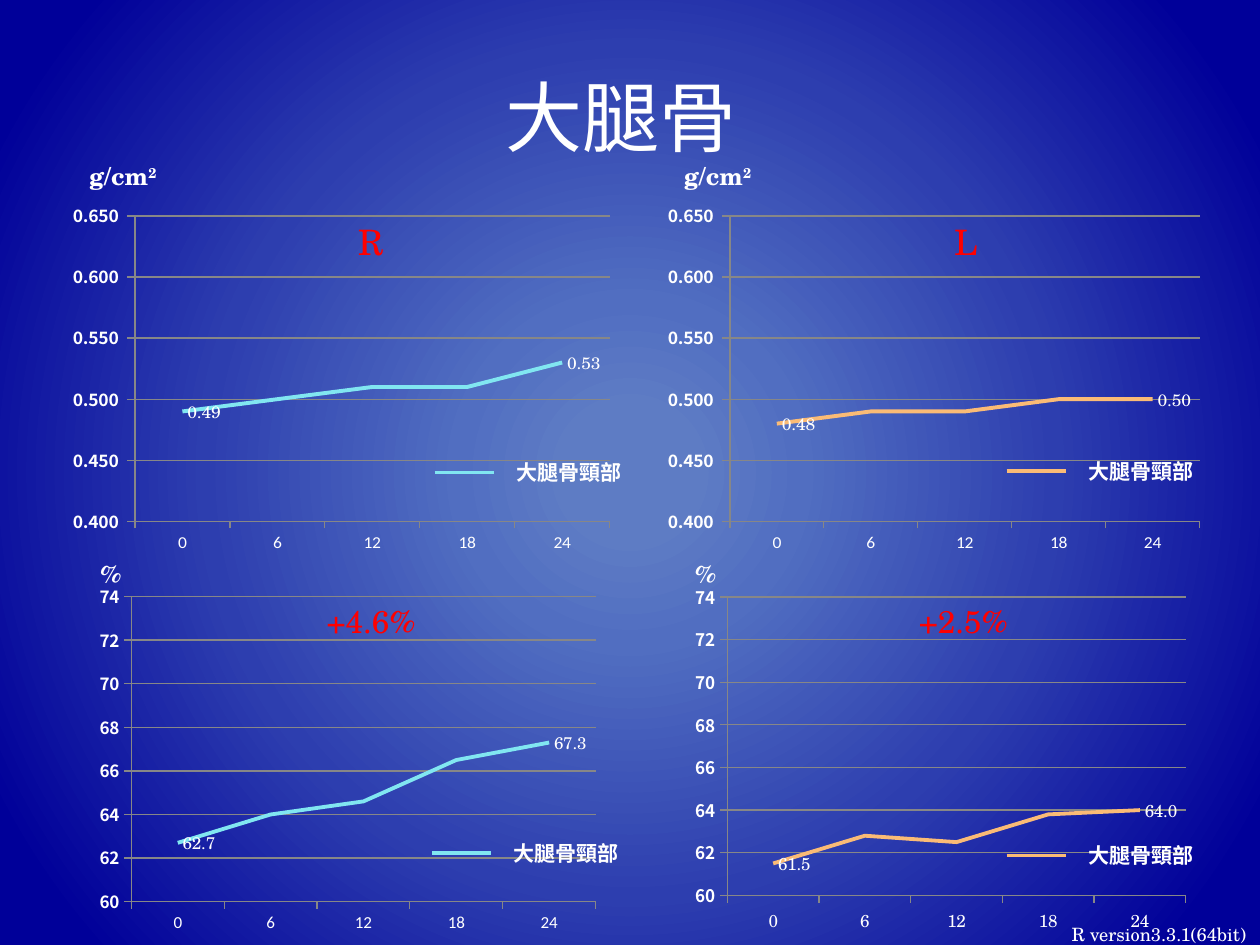
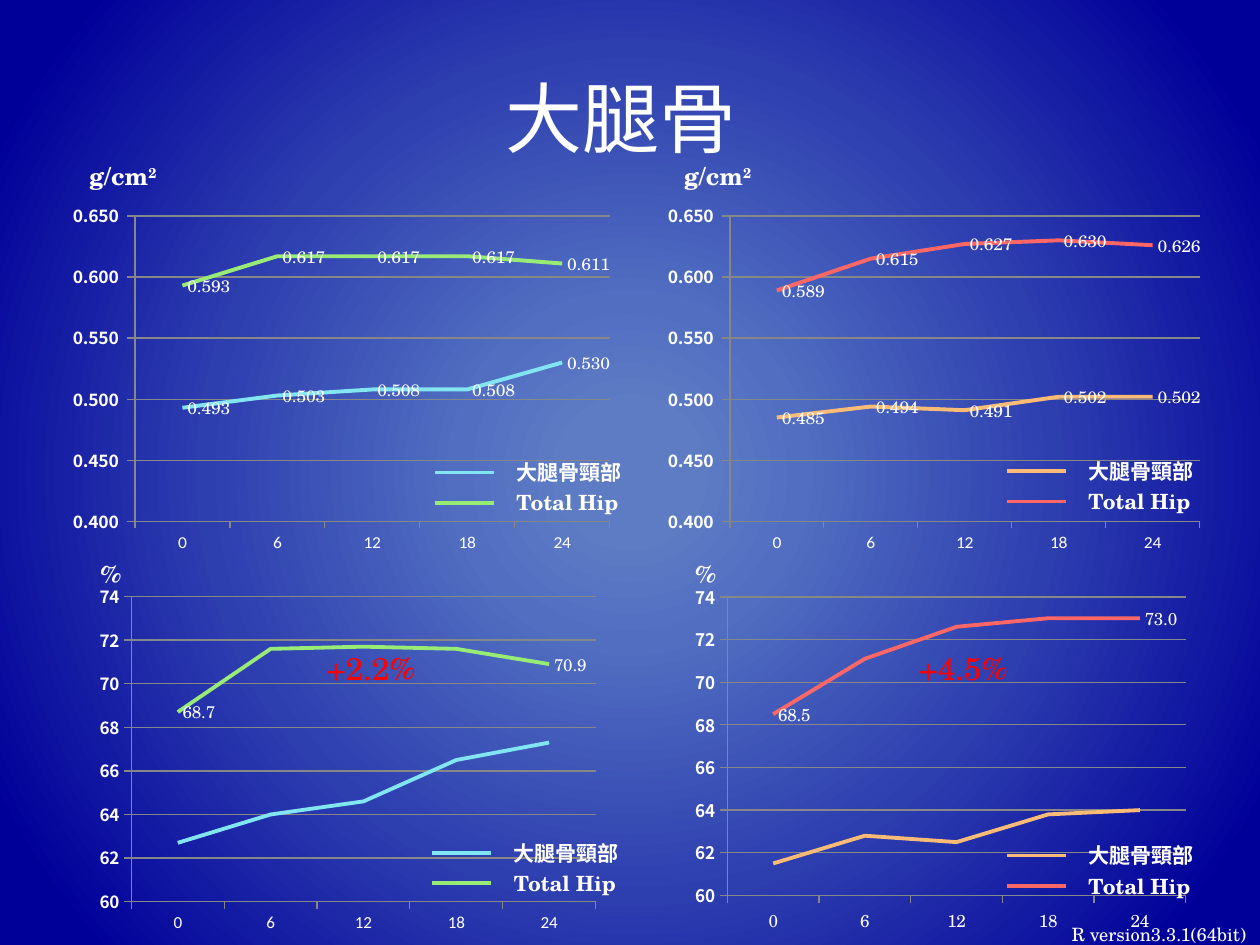
from lxml import etree
from pptx import Presentation
from pptx.chart.data import CategoryChartData
from pptx.dml.color import RGBColor
from pptx.enum.chart import XL_CHART_TYPE, XL_LABEL_POSITION, XL_TICK_MARK
from pptx.enum.shapes import MSO_CONNECTOR
from pptx.enum.text import MSO_ANCHOR, PP_ALIGN
from pptx.oxml import parse_xml
from pptx.oxml.ns import nsdecls, qn
from pptx.util import Pt

SCALE = 9144  # EMU in one px, 100 px to the inch
SERIF, SANS, CJK = "TeX Gyre Schola", "Calibri", "Noto Sans CJK JP"
HEX = {"white": "FFFFFF", "red": "FF0000", "grid": "878787",
       "cyan": "81E6F1", "green": "98EC76", "orange": "FABB76", "coral": "FF6666"}
GLOW = [(8, "5E7CC4"), (22, "516EC1"), (54, "2D3EAF"), (91, "000099")]
MONTHS = ["0", "6", "12", "18", "24"]
NAMES = ["大腿骨頸部", "Total Hip"]
TONES = {"R": ["cyan", "green"], "L": ["orange", "coral"]}

# Femoral neck, then total hip
DENSITY = {
    "R": [[0.493, 0.503, 0.508, 0.508, 0.53], [0.593, 0.617, 0.617, 0.617, 0.611]],
    "L": [[0.485, 0.494, 0.491, 0.502, 0.502], [0.589, 0.615, 0.627, 0.63, 0.626]],
}
PERCENT = {
    "R": [[62.7, 64, 64.6, 66.5, 67.3], [68.7, 71.6, 71.7, 71.6, 70.9]],
    "L": [[61.5, 62.8, 62.5, 63.8, 64], [68.5, 71.1, 72.6, 73, 73]],
}
# Chart box, inner plot as shares of the box, start of the legend
TOP = {"R": ((26, 162, 477, 276), (0.17, 0.03, 0.79, 0.93), (345, 375)),
       "L": ((499, 162, 472, 276), (0.17, 0.03, 0.79, 0.93), (799, 374))}
LOW = {"R": ((79, 464, 472, 276), (0.03, 0.02, 0.8, 0.92), (343, 677)),
       "L": ((552, 464, 472, 276), (0.03, 0.03, 0.79, 0.87), (799, 679))}


def px(n):
    return int(n * SCALE)


def rgb(name):
    return RGBColor.from_string(HEX[name])


def mask(digits):
    zero = "0." + "0" * digits
    return f"{zero}_);[RED]\\({zero}\\)"


def style(font, size=10, color="white", face=SERIF, bold=False):
    font.size, font.bold, font.name = Pt(size), bold, face
    font.color.rgb = rgb(color)


class Deck:
    def __init__(self):
        self.prs = Presentation()
        self.prs.slide_width, self.prs.slide_height = px(1000), px(750)
        self.slide = None
        self.glow()

    def glow(self):
        """Radial background on the master, shared by every slide."""
        master = self.prs.slide_master
        master.background.fill.gradient()
        grad = master.element.cSld.find(".//" + qn("a:gradFill"))
        grad.clear()
        stops = etree.SubElement(grad, qn("a:gsLst"))
        for pos, color in GLOW:
            stop = etree.SubElement(stops, qn("a:gs"), pos=str(pos * 1000))
            etree.SubElement(stop, qn("a:srgbClr"), val=color)
        ring = etree.SubElement(grad, qn("a:path"), path="circle")
        etree.SubElement(ring, qn("a:fillToRect"), l="50000", t="50000", r="50000", b="50000")

    def add(self):
        self.slide = self.prs.slides.add_slide(self.prs.slide_layouts[6])

    def text(self, text, x, y, w, h, sup="", align=PP_ALIGN.LEFT, anchor=MSO_ANCHOR.TOP, **look):
        frame = self.slide.shapes.add_textbox(px(x), px(y), px(w), px(h)).text_frame
        frame.word_wrap, frame.vertical_anchor = True, anchor
        para = frame.paragraphs[0]
        para.alignment = align
        for part in filter(None, (text, sup)):
            run = para.add_run()
            run.text = part
            style(run.font, **look)
            props = run._r.get_or_add_rPr()
            etree.SubElement(props, qn("a:ea"), typeface=CJK)
            if part == sup:
                props.set("baseline", "30000")

    def line(self, x, y, w, color):
        rule = self.slide.shapes.add_connector(
            MSO_CONNECTOR.STRAIGHT, px(x), px(y), px(x + w), px(y))
        rule.line.color.rgb, rule.line.width = rgb(color), Pt(2.25)
        etree.SubElement(rule._element.spPr, qn("a:effectLst"))

    def legend(self, x, y, side, count):
        for row, (name, tone) in enumerate(zip(NAMES[:count], TONES[side])):
            level = y + row * 24
            self.line(x, level, 47, tone)
            self.text(name, x + 55, level - 15, 134, 30, size=12, bold=True)

    def axis(self, axis, face, bold=False):
        style(axis.tick_labels.font, face=face, bold=bold)
        axis.major_tick_mark, axis.minor_tick_mark = XL_TICK_MARK.OUTSIDE, XL_TICK_MARK.NONE
        axis.format.line.color.rgb, axis.format.line.width = rgb("grid"), Pt(0.75)

    def chart(self, box, plot, rows, tones, span, form, face=SANS):
        data = CategoryChartData()
        data.categories = MONTHS
        for i, row in enumerate(rows, 1):
            data.add_series(f"Series {i}", row)
        chart = self.slide.shapes.add_chart(XL_CHART_TYPE.LINE, *map(px, box), data).chart
        chart.has_legend = chart.has_title = False
        style(chart.font)
        self.axis(chart.category_axis, face)
        scale = chart.value_axis
        self.axis(scale, CJK, bold=True)
        scale.minimum_scale, scale.maximum_scale, scale.major_unit = span
        scale.tick_labels.number_format = form
        scale.tick_labels.number_format_is_linked = False
        scale.has_major_gridlines = True
        grid = scale.major_gridlines.format.line
        grid.color.rgb, grid.width = rgb("grid"), Pt(0.75)
        chart.plots[0].vary_by_categories = False
        for series, tone in zip(chart.plots[0].series, tones):
            series.smooth = False
            series.format.line.color.rgb, series.format.line.width = rgb(tone), Pt(2.25)
        self.clear(chart)
        self.place(chart, plot)
        return chart

    def clear(self, chart):
        """Let the background show through the chart and its plot."""
        bare = (f"<c:spPr {nsdecls('c', 'a')}><a:noFill/>"
                "<a:ln><a:noFill/></a:ln></c:spPr>")
        space = chart._chartSpace
        space.find(qn("c:txPr")).addprevious(parse_xml(bare))
        space.chart.plotArea.append(parse_xml(bare))

    def place(self, chart, plot):
        area = chart._chartSpace.chart.plotArea
        for old in area.findall(qn("c:layout")):
            area.remove(old)
        layout = etree.Element(qn("c:layout"))
        manual = etree.SubElement(layout, qn("c:manualLayout"))
        keys = ["layoutTarget", "xMode", "yMode", "x", "y", "w", "h"]
        for key, val in zip(keys, ["inner", "edge", "edge", *plot]):
            etree.SubElement(manual, qn("c:" + key), val=str(val))
        area.insert(0, layout)

    def label(self, series, digits, ends):
        """Show values to the right of the points, or of the two ends only."""
        labels = series.data_labels
        labels.show_value, labels.position = True, XL_LABEL_POSITION.RIGHT
        labels.number_format, labels.number_format_is_linked = mask(digits), False
        style(labels.font)
        if ends:
            holder = series._element.find(qn("c:dLbls"))
            for i in range(len(MONTHS) - 2, 0, -1):
                holder.insert(0, parse_xml(
                    f'<c:dLbl {nsdecls("c")}><c:idx val="{i}"/><c:delete val="1"/></c:dLbl>'))


def build(deck, count, digits, gains, gain_y, title_y):
    """One slide with the first `count` sites, density above and percent below."""
    deck.add()
    deck.text("大腿骨 ", 50, title_y, 900, 125, size=44,
              align=PP_ALIGN.CENTER, anchor=MSO_ANCHOR.MIDDLE)
    for side, shift in (("R", 0), ("L", 472)):
        tones = TONES[side]
        # Density
        box, plot, key = TOP[side]
        rows = [[round(v, digits) for v in row] for row in DENSITY[side][:count]]
        chart = deck.chart(box, plot, rows, tones, (0.4, 0.65, 0.05), mask(3))
        for series in chart.plots[0].series:
            deck.label(series, digits, ends=count == 1)
        deck.legend(*key, side, count)
        deck.text("g/cm", 61 + shift, 123, 91, 33, sup="2", size=14, bold=True)
        # Percent, with values on the newest site only
        box, plot, key = LOW[side]
        chart = deck.chart(box, plot, PERCENT[side][:count], tones, (60, 74, 2),
                           "General", face=SANS if side == "R" else SERIF)
        deck.label(chart.plots[0].series[count - 1], 1, ends=True)
        deck.legend(*key, side, count)
        deck.text("%", 70 + shift, 439, 73, 33, size=14, bold=True)
        deck.text(gains[side], 207 + shift - (shift > 0) * 2, gain_y, 175, 40,
                  size=18, color="red", align=PP_ALIGN.CENTER)
        # Side mark
        if count == 1:
            deck.text(side, 255 + shift, 170, 79, 43, size=20, color="red",
                      align=PP_ALIGN.CENTER)
    deck.text("R version3.3.1(64bit)", 708, 728, 291, 27, size=10.5,
              align=PP_ALIGN.RIGHT, anchor=MSO_ANCHOR.BOTTOM)


def main():
    deck = Deck()
    build(deck, 1, 2, {"R": "+4.6%", "L": "+2.5%"}, gain_y=473, title_y=29)
    build(deck, 2, 3, {"R": "+2.2%", "L": "+4.5%"}, gain_y=510, title_y=30)
    deck.prs.save("out.pptx")


if __name__ == "__main__":
    main()
